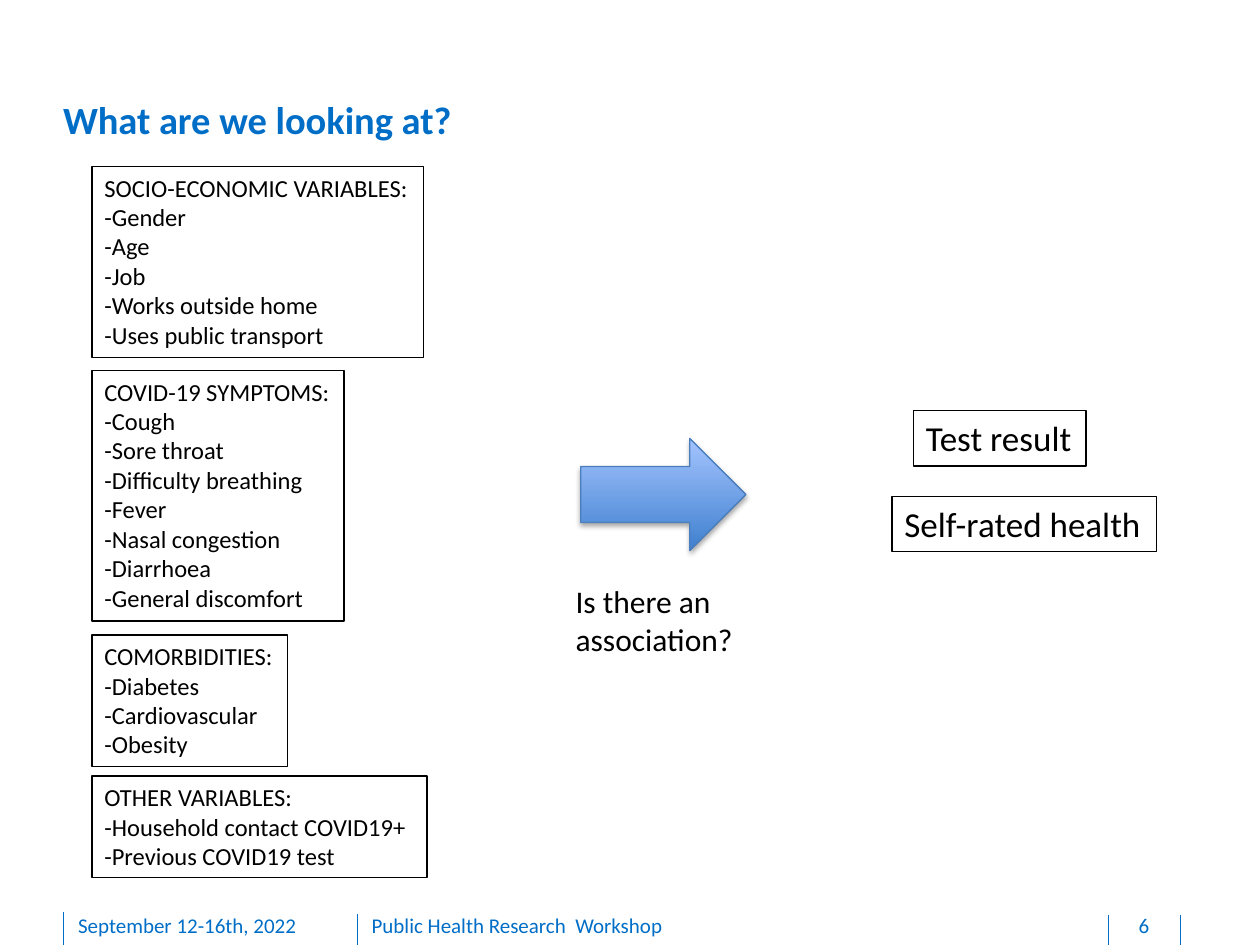
from lxml import etree
from pptx import Presentation
from pptx.dml.color import RGBColor
from pptx.enum.shapes import MSO_CONNECTOR, MSO_SHAPE
from pptx.enum.text import MSO_AUTO_SIZE, PP_ALIGN
from pptx.oxml import parse_xml
from pptx.oxml.ns import qn
from pptx.util import Inches, Pt

STRAIGHT = MSO_CONNECTOR.STRAIGHT
RIGHT_ARROW = MSO_SHAPE.RIGHT_ARROW
GROW = MSO_AUTO_SIZE.SHAPE_TO_FIT_TEXT
FIXED = MSO_AUTO_SIZE.NONE
LEFT = PP_ALIGN.LEFT
CENTER = PP_ALIGN.CENTER

COLUMNS, ROWS = 100, 75
BLUE, BLACK = "006EC7", "000000"
LINE_ROWS, PADDING_ROWS = 2.36, 1

SHADOW = (
    '<a:effectLst xmlns:a="http://schemas.openxmlformats.org/drawingml/2006/main">'
    '<a:outerShdw blurRad="40000" dist="23000" dir="5400000" rotWithShape="0">'
    '<a:srgbClr val="000000"><a:alpha val="35000"/></a:srgbClr>'
    "</a:outerShdw></a:effectLst>"
)


def color(value):
    return RGBColor.from_string(value)


def apply(target, values):
    for name, value in values.items():
        setattr(target, name, value)


class SlideBuilder:
    font = "Calibri"

    def __init__(self, deck):
        self.page = deck.slides.add_slide(deck.slide_layouts[6])
        self.column = deck.slide_width / COLUMNS
        self.row = deck.slide_height / ROWS

    def place(self, left, top, width, height):
        return (
            round(left * self.column),
            round(top * self.row),
            round(width * self.column),
            round(height * self.row),
        )

    def text(self, area, lines, size, ink=BLACK, bold=False, align=LEFT, **frame_format):
        box = self.page.shapes.add_textbox(*self.place(*area))
        frame = box.text_frame
        apply(frame, {"word_wrap": False, "auto_size": GROW, **frame_format})
        for index, line in enumerate(lines):
            para = frame.add_paragraph() if index else frame.paragraphs[0]
            para.alignment = align
            span = para.add_run()
            span.text = line
            apply(span.font, {"name": self.font, "size": Pt(size), "bold": bold})
            span.font.color.rgb = color(ink)
        return box

    def label(self, area, line, size, bottom=0.0, **text_format):
        margins = {
            "margin_left": 0,
            "margin_right": 0,
            "margin_top": 0,
            "margin_bottom": Inches(bottom),
        }
        self.text(area, [line], size, BLUE, word_wrap=True, **margins, **text_format)

    def framed(self, area, lines, size):
        box = self.text(area, lines, size)
        box.line.color.rgb = color(BLACK)
        box.line.width = Pt(0.75)

    def divider(self, left, top):
        x, y, _, height = self.place(left, top, 0, ROWS - top)
        rule = self.page.shapes.add_connector(STRAIGHT, x, y, x, y + height)
        rule.line.color.rgb = color(BLUE)
        rule.line.width = Pt(0.5)
        etree.SubElement(rule._element.spPr, qn("a:effectLst"))

    def arrow(self, area, stops, outline):
        shape = self.page.shapes.add_shape(RIGHT_ARROW, *self.place(*area))
        shape.fill.gradient()
        shape.fill.gradient_angle = 90
        for stop, value in zip(shape.fill.gradient_stops, stops):
            stop.color.rgb = color(value)
        shape.line.color.rgb = color(outline)
        shape.line.width = Pt(0.75)
        shape._element.spPr.append(parse_xml(SHADOW))


VARIABLE_GROUPS = [
    (13.2, 26.3, "SOCIO-ECONOMIC VARIABLES:",
     ["Gender", "Age", "Job", "Works outside home", "Uses public transport"]),
    (29.4, 20, "COVID-19 SYMPTOMS:",
     ["Cough", "Sore throat", "Difficulty breathing", "Fever",
      "Nasal congestion", "Diarrhoea", "General discomfort"]),
    (50.4, 15.5, "COMORBIDITIES:", ["Diabetes", "Cardiovascular", "Obesity"]),
    (61.6, 26.6, "OTHER VARIABLES:",
     ["Household contact COVID19+", "Previous COVID19 test"]),
]
OUTCOMES = [
    ((72.5, 32.6, 13.7, 4.4), "Test result"),
    ((70.8, 39.4, 21, 4.4), "Self-rated health"),
]
FOOTER = [
    (6.2, 20.3, "September 12-16th, 2022", LEFT),
    (29.5, 56.7, "Public Health Research  Workshop", LEFT),
    (88.1, 5.4, "6", CENTER),
]
DIVIDERS = [(28.4, 72.5), (5, 72.4), (93.7, 72.6), (88, 72.6)]


def main():
    deck = Presentation()
    deck.slide_width, deck.slide_height = Inches(10), Inches(7.5)
    builder = SlideBuilder(deck)

    for left, top in DIVIDERS:
        builder.divider(left, top)
    for left, width, line, align in FOOTER:
        builder.label((left, 72.4, width, 2.1), line, 12, bottom=0.05,
                      align=align, auto_size=FIXED)
    builder.label((5, 7.6, 88.5, 3.7), "What are we looking at?", 22, bold=True)

    for area, outcome in OUTCOMES:
        builder.framed(area, [outcome], 20)
    for top, width, heading, variables in VARIABLE_GROUPS:
        lines = [heading] + [f"-{variable}" for variable in variables]
        height = len(lines) * LINE_ROWS + PADDING_ROWS
        builder.framed((7.3, top, width, height), lines, 14)

    builder.arrow((46.1, 34.8, 13.1, 8.9), ["3F80CE", "A4C4FF"], "4B7EBC")
    builder.text((44.7, 45.7, 14.6, 7.1), ["Is there an", "association?"], 18)
    deck.save("out.pptx")


if __name__ == "__main__":
    main()
